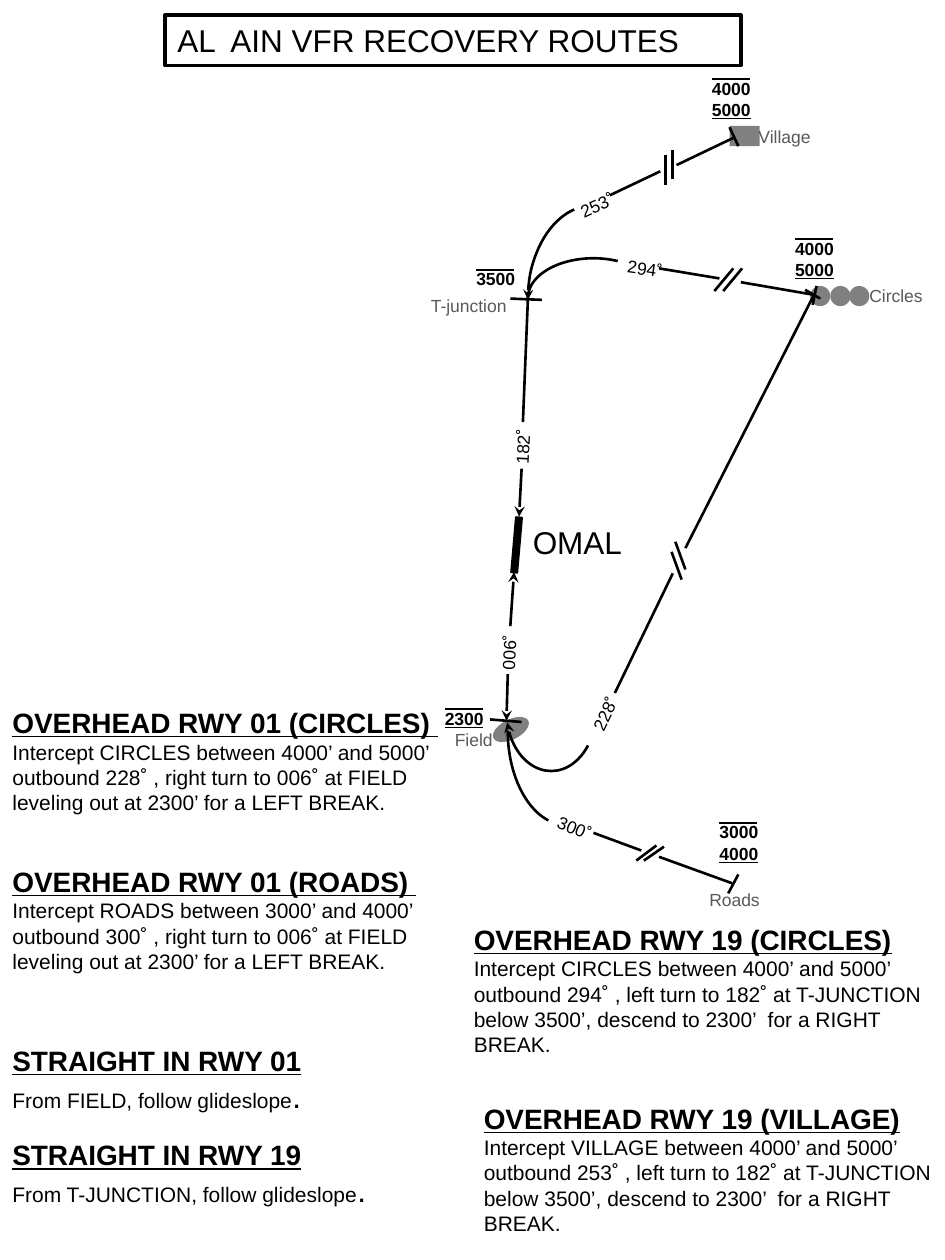
import pptx
import pptx.dml.color
import pptx.enum.shapes
import pptx.enum.text
import pptx.oxml
import pptx.oxml.ns
import pptx.util

PX = 9144  # EMU in one px, 100 px to the inch
BLACK = pptx.dml.color.RGBColor(0x00, 0x00, 0x00)
GREY = pptx.dml.color.RGBColor(0x80, 0x80, 0x80)
DARK_GREY = pptx.dml.color.RGBColor(0x59, 0x59, 0x59)
SHAPE = pptx.enum.shapes.MSO_SHAPE
STRAIGHT = pptx.enum.shapes.MSO_CONNECTOR.STRAIGHT
FIT_SHAPE = pptx.enum.text.MSO_AUTO_SIZE.SHAPE_TO_FIT_TEXT

HEADING = {"size": 16, "bold": True, "underline": True}
BODY = {"size": 12}
LABEL = {"size": 10}
LARGE = {"size": 18}

# Lines are (x1, y1, x2, y2); arcs are (box, start, end, flips, arrow);
# courses are (text, left, top, rotation). All are relative to the map box.
ROUTES = {
    "village": {
        "arc": ((119, 113, 104, 150), 282, 0, "H", "tail"),
        "lines": [(224, 86, 184, 105), (228, 73, 228, 97), (234, 69, 234, 92),
                  (283, 59, 237, 81), (279, 51, 286, 66)],
        "course": ("253˚", 156, 99, 335.6),
    },
    "circles to runway 19": {
        "arc": ((119, 155, 104, 63), 236.6, 0, "H", None),
        "lines": [(271, 171, 223, 163), (282, 163, 267, 181), (346, 184, 288, 174),
                  (348, 177, 345, 192), (289, 163, 274, 181)],
        "course": ("294˚", 194, 150, 8.3),
    },
    "circles to runway 01": {
        "arc": ((102, 468, 71, 94), 222.4, 346.5, "HV", "tail"),
        "lines": [(234, 405, 188, 500), (241, 410, 233, 388), (346, 184, 244, 385),
                  (339, 180, 351, 187), (244, 402, 236, 380)],
        "course": ("228˚", 162, 502, 295.3),
    },
    "roads": {
        "arc": ((103, 455, 94, 150), 281.7, 0, "HV", None),
        "lines": [(286, 644, 278, 659), (209, 625, 171, 611), (205, 633, 221, 621),
                  (281, 651, 223, 630), (211, 633, 227, 622)],
        "course": ("300˚", 138, 594, 22.8),
    },
}
PLACES = [("T-junction", 42, 179, 63), ("Village", 302, 45, 63),
          ("Circles", 390, 171, 63), ("Field", 61, 524, 33), ("Roads", 263, 651, 63)]
# Each altitude is (text, underlined)
ALTITUDES = [(327, 139, [("4000", False), ("5000", True)]),
             (74, 163, [("3500", False)]),
             (261, 12, [("4000", False), ("5000", True)]),
             (267, 602, [("3000", False), ("4000", True)]),
             (49, 512, [("2300", True)])]

BREAK_01 = ("Intercept {} between {} outbound {} , right turn to 006˚ at FIELD "
            "leveling out at 2300’ for a LEFT BREAK.")
BREAK_19 = ("Intercept {} between 4000’ and 5000’ outbound {} , left turn to 182˚ at "
            "T-JUNCTION below 3500’, descend to 2300’  for a RIGHT BREAK.")
STRAIGHT_IN = "From {}, follow glideslope"
# Each note is (box, inset, heading, body, large full stop)
NOTES = [
    ((0, 555, 359, 102), (10, 5), "OVERHEAD RWY 01 (CIRCLES) ",
     BREAK_01.format("CIRCLES", "4000’ and 5000’", "228˚"), ""),
    ((0, 681, 351, 102), (10, 5), "OVERHEAD RWY 01 (ROADS) ",
     BREAK_01.format("ROADS", "3000’ and 4000’", "300˚"), ""),
    ((372, 728, 378, 110), (4, 4), "OVERHEAD RWY 19 (CIRCLES)",
     BREAK_19.format("CIRCLES", "294˚"), ""),
    ((380, 870, 370, 110), (4, 4), "OVERHEAD RWY 19 (VILLAGE)",
     BREAK_19.format("VILLAGE", "253˚"), ""),
    ((0, 823, 336, 102), (10, 5), "STRAIGHT IN RWY 01", STRAIGHT_IN.format("FIELD"), "."),
    ((0, 898, 336, 102), (10, 5), "STRAIGHT IN RWY 19", STRAIGHT_IN.format("T-JUNCTION"), "."),
]


def emu(*lengths):
    return [pptx.util.Emu(length * PX) for length in lengths]


def inside(box, left, top, *size):
    return (box[0] + left, box[1] + top, *size)


def write(frame, paragraphs, inset=(10, 5), color=BLACK, fit=True):
    """Fill a text frame; each paragraph is a list of (text, format) runs."""
    across, down = emu(*inset)
    settings = {"word_wrap": True, "margin_left": across, "margin_right": across,
                "margin_top": down, "margin_bottom": down,
                "vertical_anchor": pptx.enum.text.MSO_ANCHOR.TOP}
    if fit:
        settings["auto_size"] = FIT_SHAPE
    for name, value in settings.items():
        setattr(frame, name, value)
    for index, runs in enumerate(paragraphs):
        paragraph = frame.add_paragraph() if index else frame.paragraphs[0]
        paragraph.alignment = pptx.enum.text.PP_ALIGN.LEFT
        for text, text_format in runs:
            run = paragraph.add_run()
            run.text = text
            values = {"name": "Arial", "bold": False, "underline": False, **text_format}
            values["size"] = pptx.util.Pt(values["size"])
            for name, value in values.items():
                setattr(run.font, name, value)
            run.font.color.rgb = color


def label(shapes, box, paragraphs, rotation=0, **options):
    text = shapes.add_textbox(*emu(*box))
    text.rotation = rotation
    write(text.text_frame, paragraphs, **options)


def outline(item, width, arrow=None):
    item.line.color.rgb = BLACK
    item.line.width = pptx.util.Pt(width)
    if arrow:
        item.line._get_or_add_ln().append(pptx.oxml.parse_xml(
            f'<a:{arrow}End {pptx.oxml.ns.nsdecls("a")} type="stealth"/>'))


def add_line(shapes, box, ends, width=1.5, arrow=None):
    line = shapes.add_connector(
        STRAIGHT, *emu(*inside(box, *ends[:2]), *inside(box, *ends[2:])))
    outline(line, width, arrow)
    line.element.spPr.append(pptx.oxml.parse_xml(
        f'<a:effectLst {pptx.oxml.ns.nsdecls("a")}/>'))
    return line


def add_solid(shapes, kind, box, fill, rotation=0):
    solid = shapes.add_shape(kind, *emu(*box))
    solid.shadow.inherit = False
    solid.rotation = rotation
    if fill is None:
        solid.fill.background()
    else:
        solid.fill.solid()
        solid.fill.fore_color.rgb = fill
    solid.line.fill.background()
    return solid


def draw_title(slide, box):
    title = add_solid(slide.shapes, SHAPE.RECTANGLE, box, None)
    outline(title, 2)
    write(title.text_frame, [[("AL  AIN VFR RECOVERY ROUTES", LARGE)]])


def draw_landmarks(slide, box):
    """Draw the circles, village and field markers with their names."""
    for left in (343, 359, 374):
        add_solid(slide.shapes, SHAPE.OVAL, inside(box, left, 177, 16, 16), GREY)
    add_solid(slide.shapes, SHAPE.RECTANGLE, inside(box, 279, 50, 24, 16), GREY)
    add_solid(slide.shapes, SHAPE.OVAL, inside(box, 90, 521, 31, 16), GREY, 333.3)
    for name, left, top, width in PLACES:
        label(slide.shapes, inside(box, left, top, width, 27), [[(name, LABEL)]],
              inset=(0, 5), color=DARK_GREY)


def draw_course(slide, box, text, left, top, rotation):
    label(slide.shapes, inside(box, left, top, 38, 27), [[(text, LABEL)]],
          rotation, inset=(4, 5))


def draw_final(slide, box):
    """Draw the runway and the straight legs leading to both of its ends."""
    runway = add_solid(slide.shapes, SHAPE.RECTANGLE, inside(box, 88, 380, 44, 5), BLACK, 95)
    outline(runway, 1)
    label(slide.shapes, inside(box, 113, 360, 142, 40), [[("OMAL", LARGE)]])
    for ends in [(115, 285, 119, 187), (105, 187, 130, 188), (89, 521, 114, 523)]:
        add_line(slide.shapes, box, ends)
    add_line(slide.shapes, box, (103, 485, 102, 522), arrow="tail")
    # The runway is turned, so the joined ends are put back on its short sides
    north = add_line(slide.shapes, box, (114, 322, 112, 360), arrow="tail")
    north.end_connect(runway, 1)
    north.end_x, north.end_y = emu(*inside(box, 112, 360))
    south = add_line(slide.shapes, box, (108, 404, 105, 447), arrow="head")
    south.begin_connect(runway, 3)
    south.begin_x, south.begin_y = emu(*inside(box, 108, 404))
    draw_course(slide, box, "182˚", 96, 290, 272.9)
    draw_course(slide, box, "006˚", 85, 453, 272.9)


def draw_route(slide, box, route):
    turn_box, start, end, flips, arrow = route["arc"]
    turn = add_solid(slide.shapes, SHAPE.ARC, inside(box, *turn_box), None)
    for index, angle in enumerate((start, end)):
        turn.adjustments[index] = angle * 0.6  # 60000ths of a degree over 100000
    for axis in flips:
        turn.element.spPr.find(pptx.oxml.ns.qn("a:xfrm")).set("flip" + axis, "1")
    outline(turn, 1.5, arrow)
    for ends in route["lines"]:
        add_line(slide.shapes, box, ends)
    draw_course(slide, box, *route["course"])


def draw_altitude(slide, box, limits):
    block = slide.shapes.add_group_shape().shapes
    rows = [[(text, {**LABEL, "bold": True, "underline": underlined})]
            for text, underlined in limits]
    label(block, (*box, 40, 17 * len(rows)), rows, inset=(4, 0))
    add_line(block, box, (4, 1, 34, 1), 1.25)


def draw_note(slide, box, inset, heading, body, full_stop):
    details = [(body, BODY)] + ([(full_stop, LARGE)] if full_stop else [])
    label(slide.shapes, box, [[(heading, HEADING)], details], inset=inset, fit=False)


def main():
    deck = pptx.Presentation()
    deck.slide_width, deck.slide_height = emu(750, 1000)
    slide = deck.slides.add_slide(deck.slide_layouts[6])
    map_box = (300, 50)
    draw_title(slide, (131, 12, 457, 40))
    draw_landmarks(slide, map_box)
    draw_final(slide, map_box)
    for route in ROUTES.values():
        draw_route(slide, map_box, route)
    for left, top, limits in ALTITUDES:
        draw_altitude(slide, inside(map_box, left, top), limits)
    for note in NOTES:
        draw_note(slide, *note)
    deck.save("out.pptx")


if __name__ == "__main__":
    main()
